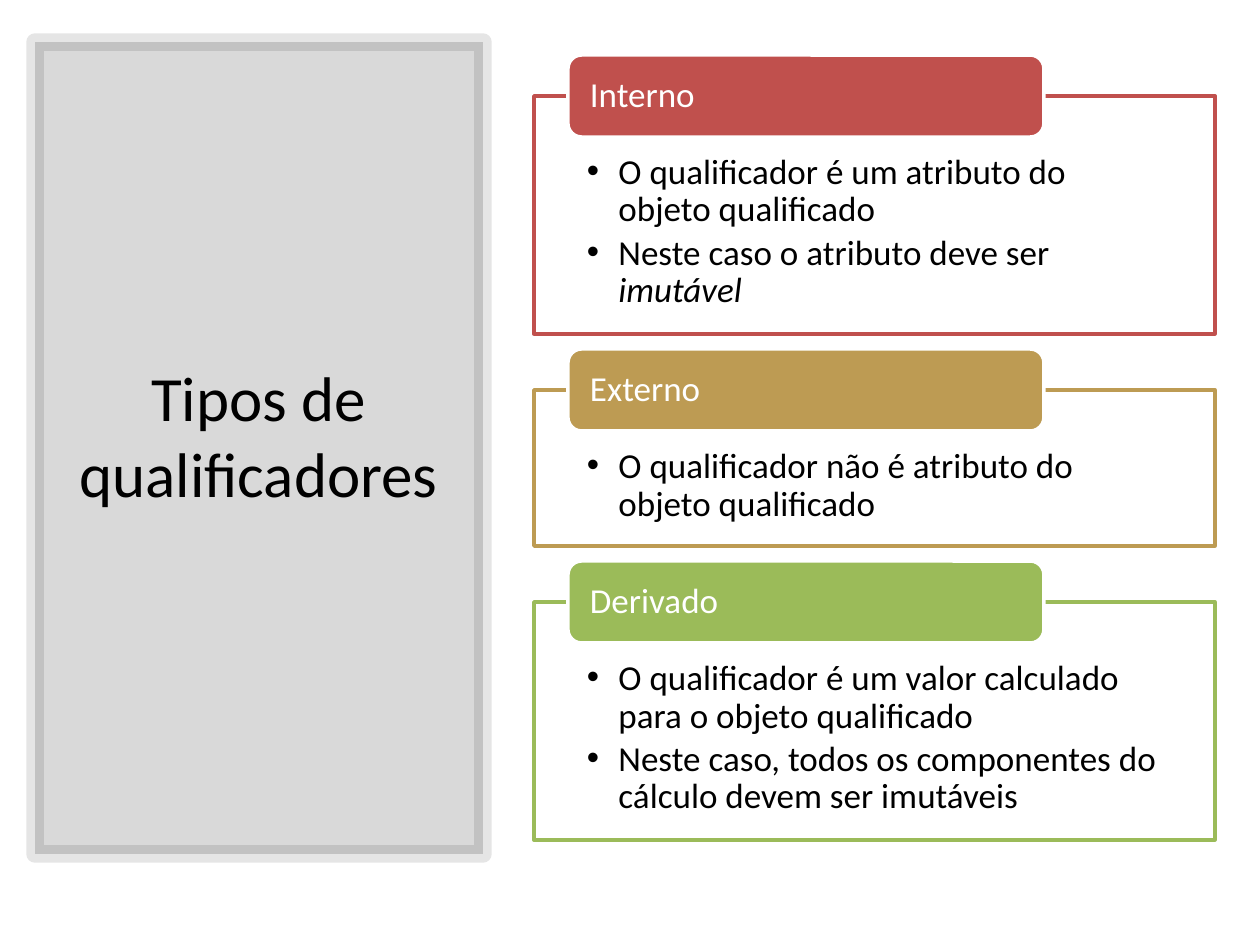
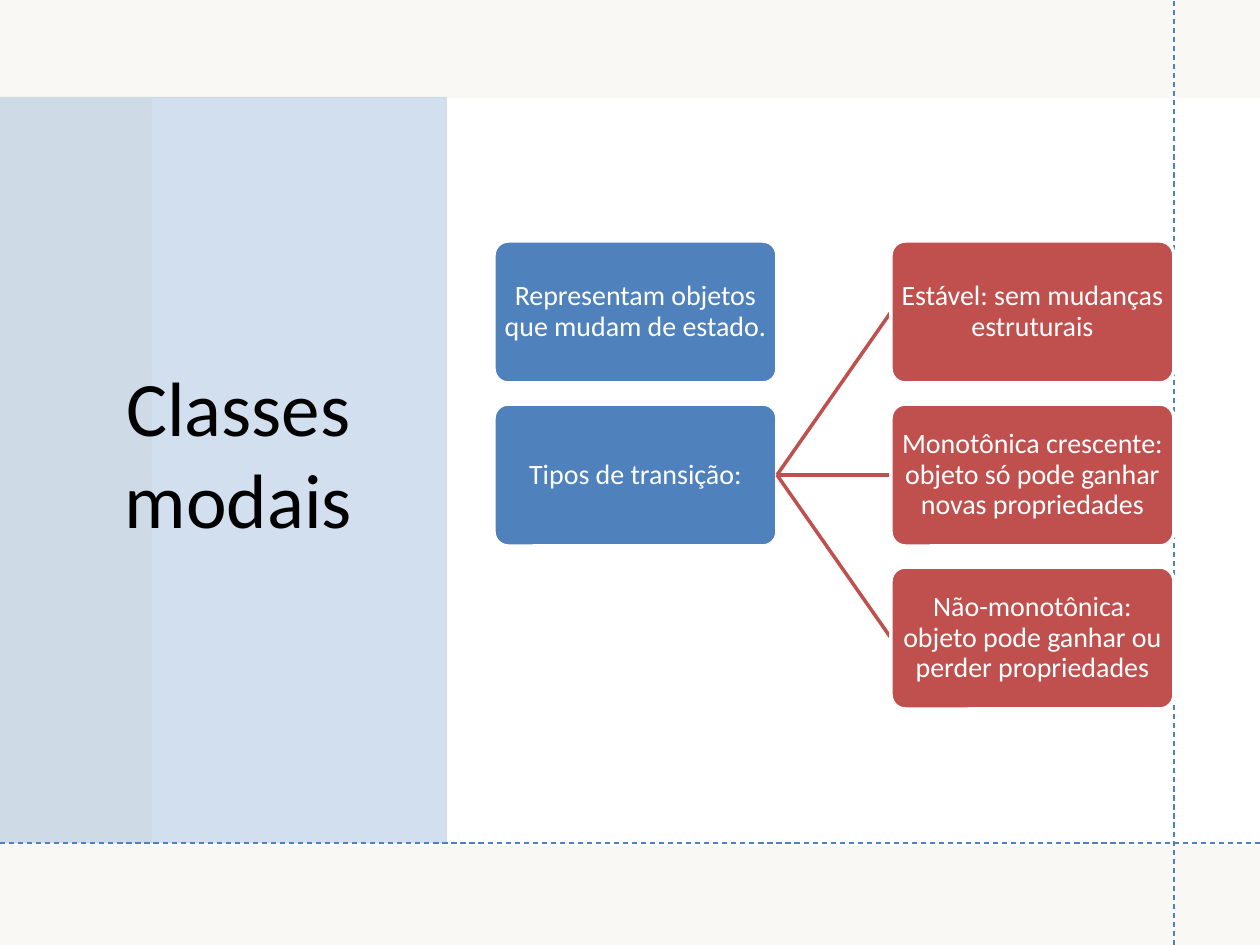
from dataclasses import dataclass

from lxml.etree import SubElement
from pptx import Presentation
from pptx.dml.color import RGBColor
from pptx.enum.dml import MSO_LINE
from pptx.enum.shapes import MSO_CONNECTOR, MSO_SHAPE
from pptx.enum.text import MSO_ANCHOR, PP_ALIGN
from pptx.oxml.ns import qn
from pptx.shapes.autoshape import Shape
from pptx.slide import Slide
from pptx.util import Emu, Pt

SCALE = 914400 / 126
WIDE, HIGH = 1260, 945


@dataclass(frozen=True)
class Theme:
    font: str = "Calibri"
    black: str = "000000"
    white: str = "FFFFFF"
    cream: str = "F9F8F4"
    blue: str = "4F81BD"
    red: str = "C0504D"
    gold: str = "BD9B53"
    green: str = "9BBB59"
    list_size: int = 20
    node_size: int = 16
    edge: float = 2
    guide: float = 0.75


THEME = Theme()


@dataclass(frozen=True)
class Box:
    left: int
    top: int
    width: int
    height: int

    def emu(self) -> list[Emu]:
        return [px(n) for n in (self.left, self.top, self.width, self.height)]


@dataclass(frozen=True)
class Span:
    text: str
    slant: bool = False


@dataclass(frozen=True)
class Group:
    name: str
    color: str
    points: tuple[tuple[Span, ...], ...]


GROUPS = (
    Group("Interno", THEME.red, (
        (Span("O qualificador é um atributo do objeto qualificado"),),
        (Span("Neste caso o atributo deve ser "), Span("imutável", True)),
    )),
    Group("Externo", THEME.gold, (
        (Span("O qualificador não é atributo do objeto qualificado"),),
    )),
    Group("Derivado", THEME.green, (
        (Span("O qualificador é um valor calculado para o objeto qualificado"),),
        (Span("Neste caso, todos os componentes do cálculo devem ser imutáveis"),),
    )),
)

ROOTS = ("Representam objetos que mudam de estado.", "Tipos de transição:")
LEAVES = (
    "Estável: sem mudanças estruturais",
    "Monotônica crescente: objeto só pode ganhar novas propriedades",
    "Não-monotônica: objeto pode ganhar ou perder propriedades",
)


def px(count: int) -> Emu:
    return Emu(round(count * SCALE))


def rgb(color: str) -> RGBColor:
    return RGBColor.from_string(color)


def add_box(slide: Slide, box: Box, fill: str, line: str = "",
            weight: float = THEME.edge,
            kind: MSO_SHAPE = MSO_SHAPE.RECTANGLE) -> Shape:
    shape = slide.shapes.add_shape(kind, *box.emu())
    shape.shadow.inherit = False
    shape.fill.solid()
    shape.fill.fore_color.rgb = rgb(fill)
    if line:
        shape.line.color.rgb = rgb(line)
        shape.line.width = Pt(weight)
    else:
        shape.line.fill.background()
    return shape


def fade(shape: Shape, *shares: int) -> None:
    """Set the opacity, in percent, of the fill and then of the line."""
    colors = list(shape.element.spPr.iter(qn("a:srgbClr")))
    for color, share in zip(colors, shares):
        SubElement(color, qn("a:alpha")).set("val", str(share * 1000))


def add_line(slide: Slide, start: tuple[int, int], end: tuple[int, int],
             color: str, weight: float, dashed: bool = False) -> None:
    link = slide.shapes.add_connector(
        MSO_CONNECTOR.STRAIGHT, *map(px, start + end))
    link.line.color.rgb = rgb(color)
    link.line.width = Pt(weight)
    if dashed:
        link.line.dash_style = MSO_LINE.DASH
    SubElement(link.element.spPr, qn("a:effectLst"))


def write(shape: Shape, lines: tuple[tuple[Span, ...], ...], size: int,
          color: str, align: PP_ALIGN, pads: tuple[int, int, int, int],
          anchor: MSO_ANCHOR = MSO_ANCHOR.MIDDLE, spacing: float = 0.9,
          dots: bool = False) -> None:
    frame = shape.text_frame
    frame.word_wrap = True
    frame.vertical_anchor = anchor
    (frame.margin_left, frame.margin_top,
     frame.margin_right, frame.margin_bottom) = map(px, pads)
    for index, spans in enumerate(lines):
        para = frame.add_paragraph() if index else frame.paragraphs[0]
        if dots:
            props = para._p.get_or_add_pPr()
            props.set("marL", "228600")
            props.set("indent", "-228600")
            SubElement(props, qn("a:buFont")).set("typeface", "Arial")
            SubElement(props, qn("a:buChar")).set("char", "•")
            para.space_after = Pt(3)
        para.alignment = align
        para.line_spacing = spacing
        for span in spans:
            run = para.add_run()
            run.text = span.text
            font = run.font
            font.name, font.size = THEME.font, Pt(size)
            font.color.rgb = rgb(color)
            if span.slant:
                font.italic = True


def set_title(slide: Slide, text: str, box: Box, size: int) -> None:
    """Fill the title and lift it above the shapes drawn so far."""
    title = slide.shapes.title
    title.left, title.top, title.width, title.height = box.emu()
    write(title, ((Span(text),),), size, THEME.black, PP_ALIGN.CENTER,
          (13, 6, 13, 6), spacing=1.0)
    title.element.getparent().append(title.element)


def add_group(slide: Slide, group: Group, top: int) -> int:
    """Draw a framed list with its tab and return the frame's bottom."""
    height = 74 + 82 * len(group.points)
    frame = add_box(slide, Box(534, top, 681, height), THEME.white, group.color)
    write(frame, group.points, THEME.list_size, THEME.black, PP_ALIGN.LEFT,
          (53, 58, 53, 20), MSO_ANCHOR.TOP, dots=True)
    tab = add_box(slide, Box(568, top - 41, 476, 82), group.color, THEME.white,
                  kind=MSO_SHAPE.ROUNDED_RECTANGLE)
    write(tab, ((Span(group.name),),), THEME.list_size, THEME.white,
          PP_ALIGN.LEFT, (18, 0, 18, 0))
    return top + height


def add_node(slide: Slide, text: str, box: Box, color: str) -> None:
    node = add_box(slide, box, color, THEME.white,
                   kind=MSO_SHAPE.ROUNDED_RECTANGLE)
    node.adjustments[0] = 0.1
    write(node, ((Span(text),),), THEME.node_size, THEME.white,
          PP_ALIGN.CENTER, (1, 1, 1, 1))


def draw_types(slide: Slide) -> None:
    panel = add_box(slide, Box(35, 42, 448, 812), THEME.black, THEME.black, 10)
    fade(panel, 15, 10)
    set_title(slide, "Tipos de qualificadores", Box(62, 88, 393, 693), 36)
    top = 96
    for group in GROUPS:
        top = add_group(slide, group, top) + 56


def draw_modes(slide: Slide) -> None:
    slide.background.fill.solid()
    slide.background.fill.fore_color.rgb = rgb(THEME.cream)
    add_box(slide, Box(152, 98, WIDE - 152, 748), THEME.white)
    fade(add_box(slide, Box(0, 97, 447, 746), THEME.blue), 25)
    set_title(slide, "Classes modais", Box(52, 93, 373, 717), 44)
    for start, end in (((1174, HIGH), (1174, 0)), ((0, 843), (WIDE, 843))):
        add_line(slide, start, end, THEME.blue, THEME.guide, True)

    left, top, width, height, step, jump = 494, 241, 283, 142, 163, 397
    for row, text in enumerate(ROOTS):
        add_node(slide, text, Box(left, top + row * step, width, height),
                 THEME.blue)
    hub = (left + width, top + step + height // 2)
    for row, text in enumerate(LEAVES):
        box = Box(left + jump, top + row * step, width, height)
        add_line(slide, hub, (box.left, box.top + height // 2),
                 THEME.red, THEME.edge)
        add_node(slide, text, box, THEME.red)


def main() -> None:
    deck = Presentation()
    deck.slide_width, deck.slide_height = px(WIDE), px(HIGH)
    for draw in (draw_types, draw_modes):
        draw(deck.slides.add_slide(deck.slide_layouts[5]))
    deck.save("out.pptx")


if __name__ == "__main__":
    main()
